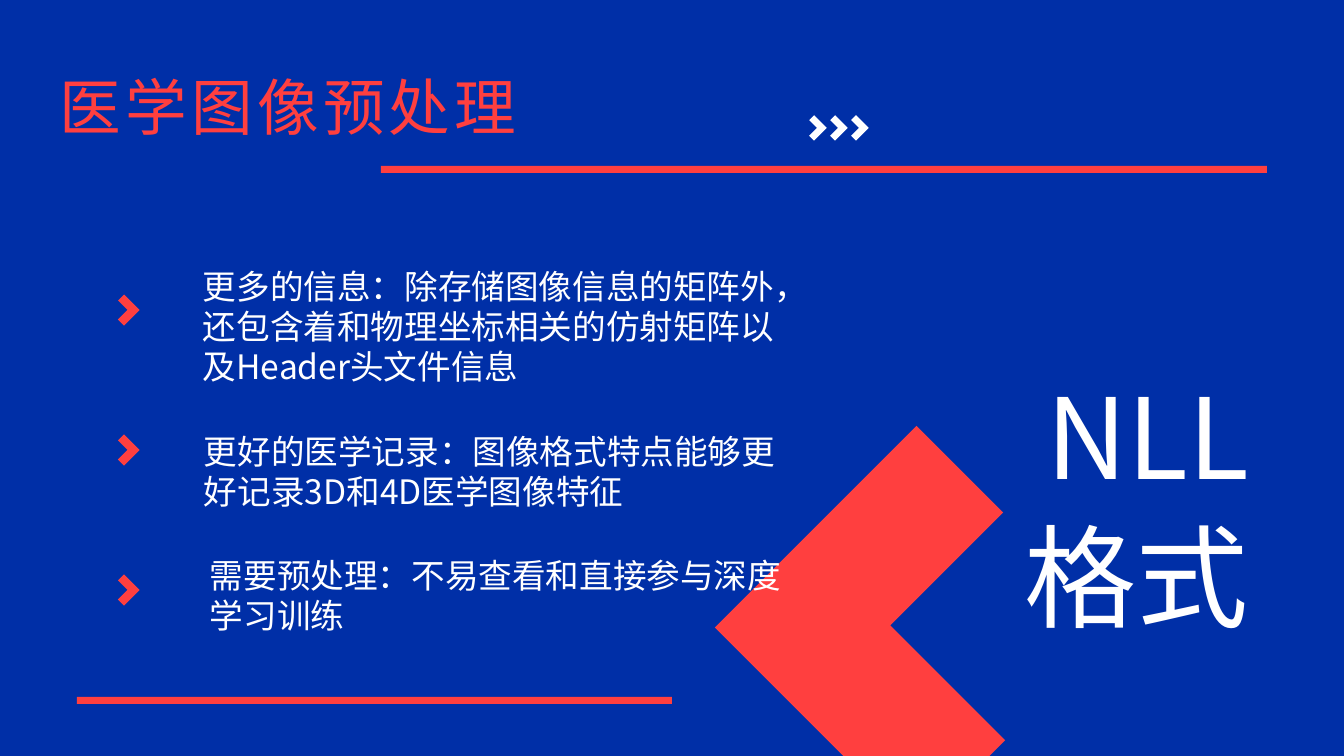
from lxml import etree
from pptx import Presentation
from pptx.dml.color import RGBColor
from pptx.enum.shapes import MSO_SHAPE
from pptx.enum.text import PP_ALIGN
from pptx.oxml.ns import qn
from pptx.util import Emu, Pt

CORNER = MSO_SHAPE.CORNER
RECTANGLE = MSO_SHAPE.RECTANGLE
LEFT = PP_ALIGN.LEFT
RIGHT = PP_ALIGN.RIGHT

EMU_PER_PX = 914400 / 100.8
FONT = "Noto Sans CJK JP"
BLUE = "002FA7"
RED = "FF3F3F"
WHITE = "FFFFFF"

# Rotation that points the corner of an L shape to one side
POINT_LEFT = 45
POINT_RIGHT = 225

# Left, top, height, text
POINTS = [
    (193, 261, 132, "更多的信息：除存储图像信息的矩阵外，还包含着和物理坐标相关的仿射矩阵以及Header头文件信息"),
    (194, 426, 92, "更好的医学记录：图像格式特点能够更好记录3D和4D医学图像特征"),
    (200, 550, 92, "需要预处理：不易查看和直接参与深度学习训练"),
]


def px(length):
    return Emu(round(length * EMU_PER_PX))


def paint(fill, color):
    fill.solid()
    fill.fore_color.rgb = RGBColor.from_string(color)


def add_block(page, kind, left, top, width, height, color):
    block = page.shapes.add_shape(kind, px(left), px(top), px(width), px(height))
    block.shadow.inherit = False
    paint(block.fill, color)
    block.line.fill.background()
    return block


def add_bar(page, left, top, width):
    add_block(page, RECTANGLE, left, top, width, 7, RED)


def add_chevron(page, left, top, size, color, rotation=POINT_RIGHT, arms=(0.38, 0.39)):
    chevron = add_block(page, CORNER, left, top, size, size, color)
    chevron.rotation = rotation
    for index, thickness in enumerate(arms):
        chevron.adjustments[index] = thickness


def add_text(page, text, left, top, width, height, size, line_height,
             color=WHITE, align=LEFT, tracking=0):
    box = page.shapes.add_textbox(px(left), px(top), px(width), px(height))
    frame = box.text_frame
    frame.word_wrap = True
    for index, line in enumerate(text.split("\n")):
        para = frame.add_paragraph() if index else frame.paragraphs[0]
        para.alignment = align
        para.line_spacing = Pt(line_height)
        span = para.add_run()
        span.text = line
        span.font.size = Pt(size)
        paint(span.font.fill, color)
        span.font.name = FONT
        # East Asian typeface and letter spacing
        properties = span._r.get_or_add_rPr()
        etree.SubElement(properties, qn("a:ea"), typeface=FONT)
        if tracking:
            properties.set("spc", str(tracking * 100))


def main():
    deck = Presentation()
    deck.slide_width = px(1344)
    deck.slide_height = px(756)
    page = deck.slides.add_slide(deck.slide_layouts[6])
    paint(page.background.fill, BLUE)

    # Format name beside the large chevron
    add_chevron(page, 774, 485, 285, RED, POINT_LEFT, (0.44, 0.43))
    add_text(page, "NLL\n格式", 672, 357, 587, 429, 80, 100, align=RIGHT)

    # Title with its rule and small white chevrons
    add_text(page, "医学图像预处理", 50, 61, 622, 88, 44, 55, color=RED, tracking=3)
    add_bar(page, 381, 166, 886)
    for index in range(3):
        add_chevron(page, 805 + 21 * index, 119, 18, WHITE)

    # Points with evenly spaced markers
    for index, (left, top, height, text) in enumerate(POINTS):
        add_chevron(page, 113, 299 + 140 * index, 22, RED)
        add_text(page, text, left, top, 594, height, 24, 28.6)

    # Lower rule
    add_bar(page, 77, 697, 595)

    deck.save("out.pptx")


if __name__ == "__main__":
    main()
